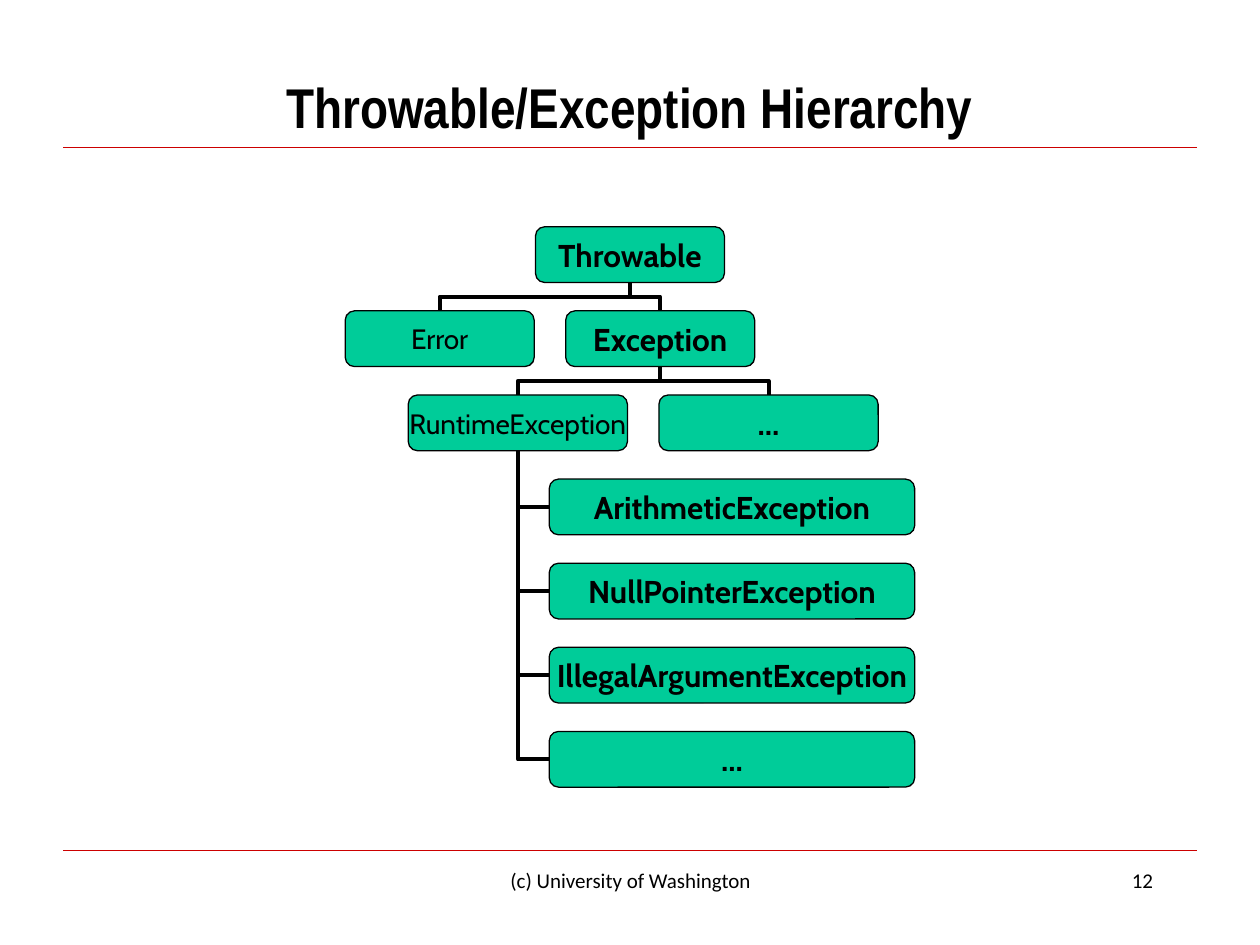
from pptx import Presentation
from pptx import util as u
from pptx.dml.color import RGBColor
from pptx.enum import shapes, text
from pptx.oxml import ns, xmlchemy

BLACK = RGBColor(0x00, 0x00, 0x00)
RED = RGBColor(0xCC, 0x00, 0x00)
GREEN = RGBColor(0x00, 0xCC, 0x99)

WIDTH, HEIGHT = u.Inches(10), u.Inches(7.5)
COLUMN = WIDTH / 40
TREE_TOP = 0.24 * HEIGHT
ROW = 0.089 * HEIGHT
BOX_HEIGHT = 0.059 * HEIGHT
TOP, LEFT, BOTTOM = 0, 1, 2


def format_text(shape, content, font_name, size, bold, alignment):
    shape.text_frame.text = content
    paragraph = shape.text_frame.paragraphs[0]
    paragraph.alignment = alignment
    font = paragraph.runs[0].font
    font.name = font_name
    font.size = u.Pt(size)
    font.bold = bold
    font.color.rgb = BLACK


def add_label(slide, content, left, top, width, height, font_name, size,
              bold=False, alignment=text.PP_ALIGN.CENTER,
              anchor=text.MSO_ANCHOR.TOP):
    shape = slide.shapes.add_textbox(
        int(left * WIDTH), int(top * HEIGHT), int(width * WIDTH), int(height * HEIGHT))
    shape.text_frame.word_wrap = True
    shape.text_frame.vertical_anchor = anchor
    format_text(shape, content, font_name, size, bold, alignment)


def style_connector(connector, color, weight):
    connector.line.color.rgb = color
    connector.line.width = u.Pt(weight)
    connector._element.spPr.append(xmlchemy.OxmlElement("a:effectLst"))


def add_rule(slide, share):
    y = int(share * HEIGHT)
    rule = slide.shapes.add_connector(
        shapes.MSO_CONNECTOR.STRAIGHT, int(0.05 * WIDTH), y, int(0.95 * WIDTH), y)
    style_connector(rule, RED, 0.75)


def add_class(slide, name, row, column, columns, size=18):
    shape = slide.shapes.add_shape(
        shapes.MSO_SHAPE.ROUNDED_RECTANGLE, int(column * COLUMN),
        int(TREE_TOP + row * ROW), int(columns * COLUMN), int(BOX_HEIGHT))
    shape.shadow.inherit = False
    shape.fill.solid()
    shape.fill.fore_color.rgb = GREEN
    shape.line.color.rgb = BLACK
    shape.line.width = u.Pt(0.75)
    frame = shape.text_frame
    frame.word_wrap = False
    frame.vertical_anchor = text.MSO_ANCHOR.MIDDLE
    frame.margin_left = frame.margin_right = u.Inches(0.09)
    frame.margin_top = frame.margin_bottom = u.Inches(0.04)
    format_text(shape, name, "Cabin", size, size == 18, text.PP_ALIGN.CENTER)
    return shape


def add_elbow(slide, start, start_side, end, end_side):
    connector = slide.shapes.add_connector(shapes.MSO_CONNECTOR.ELBOW, 0, 0, 0, 0)
    connector.begin_connect(start, start_side)
    connector.end_connect(end, end_side)
    style_connector(connector, BLACK, 2.25)
    return connector


def place_elbow(connector, left, top, width, height, rotation, flip=False):
    connector.left, connector.top = int(left), int(top)
    connector.width, connector.height = int(width), int(height)
    transform = connector._element.spPr.find(ns.qn("a:xfrm"))
    transform.set("rot", str(rotation * 60000))
    transform.set("flipH", str(int(flip)))
    transform.set("flipV", "0")


def add_branch(slide, parent, child):
    connector = add_elbow(slide, parent, BOTTOM, child, TOP)
    parent_x = parent.left + parent.width / 2
    child_x = child.left + child.width / 2
    bottom = parent.top + parent.height
    drop = child.top - bottom
    span = abs(child_x - parent_x)
    rightward = child_x > parent_x
    place_elbow(connector, (parent_x + child_x - drop) / 2,
                bottom + (drop - span) / 2, drop, span,
                270 if rightward else 90, rightward)


def add_side_branch(slide, parent, child):
    connector = add_elbow(slide, child, LEFT, parent, BOTTOM)
    geometry = connector._element.spPr.find(ns.qn("a:prstGeom"))
    geometry.set("prst", "bentConnector2")
    left = parent.left + parent.width / 2
    top = parent.top + parent.height
    place_elbow(connector, left, top, child.left - left,
                child.top + child.height / 2 - top, 180)


def add_hierarchy(slide):
    throwable = add_class(slide, "Throwable", 0, 17, 6)
    error = add_class(slide, "Error", 1, 10.96, 6, 16)
    exception = add_class(slide, "Exception", 1, 17.96, 6)
    runtime = add_class(slide, "RuntimeException", 2, 12.96, 6.96, 16)
    others = add_class(slide, "...", 2, 20.92, 6.96)
    for parent, child in ((throwable, error), (throwable, exception),
                          (exception, runtime), (exception, others)):
        add_branch(slide, parent, child)
    names = ("ArithmeticException", "NullPointerException",
             "IllegalArgumentException", "...")
    for row, name in enumerate(names, start=3):
        add_side_branch(slide, runtime, add_class(slide, name, row, 17.44, 11.6))


def main():
    presentation = Presentation()
    presentation.slide_width, presentation.slide_height = WIDTH, HEIGHT
    slide = presentation.slides.add_slide(presentation.slide_layouts[6])
    for share in (0.156, 0.9):
        add_rule(slide, share)
    add_label(slide, "Throwable/Exception Hierarchy", 0.05, 0.067, 0.9, 0.09,
              "Arial Narrow", 32, True, anchor=text.MSO_ANCHOR.MIDDLE)
    add_hierarchy(slide)
    add_label(slide, "(c) University of Washington", 0.342, 0.911, 0.317, 0.067,
              "Calibri", 12)
    add_label(slide, "12", 0.717, 0.911, 0.208, 0.067, "Calibri", 12,
              alignment=text.PP_ALIGN.RIGHT)
    presentation.save("out.pptx")


if __name__ == "__main__":
    main()
